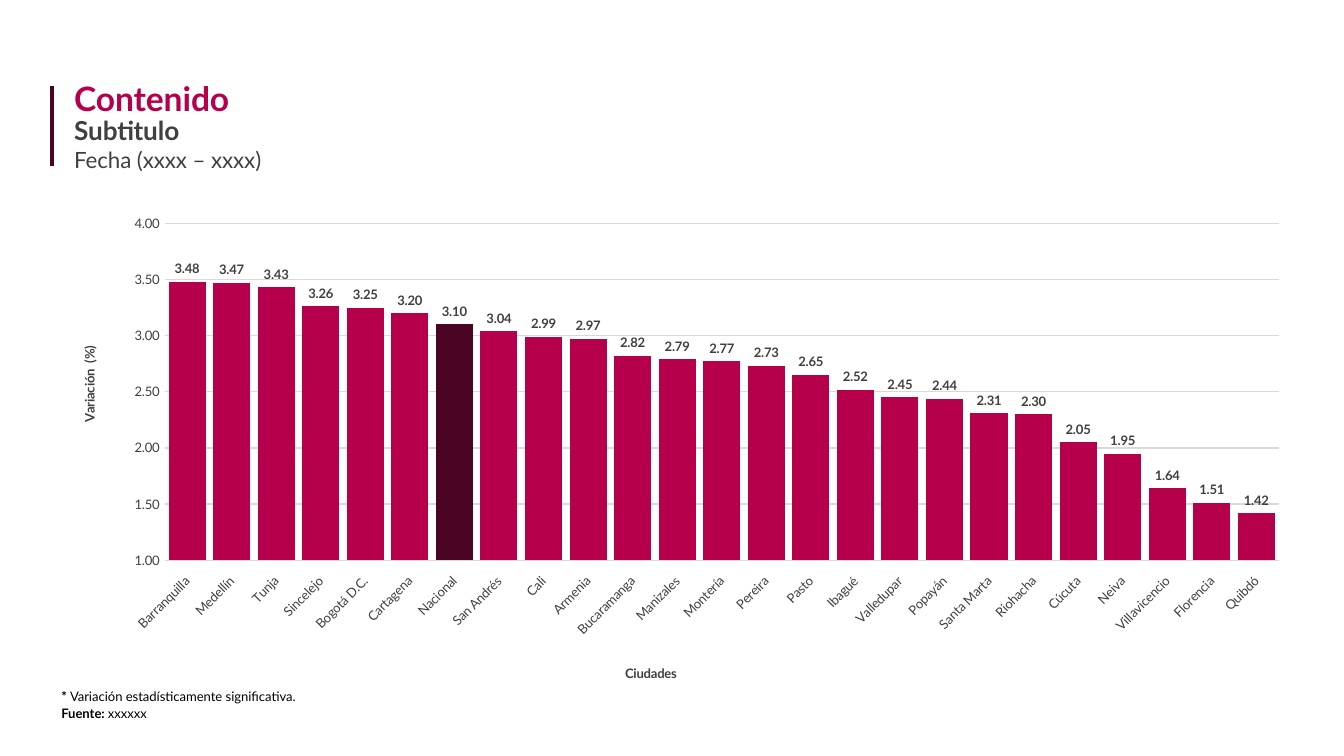
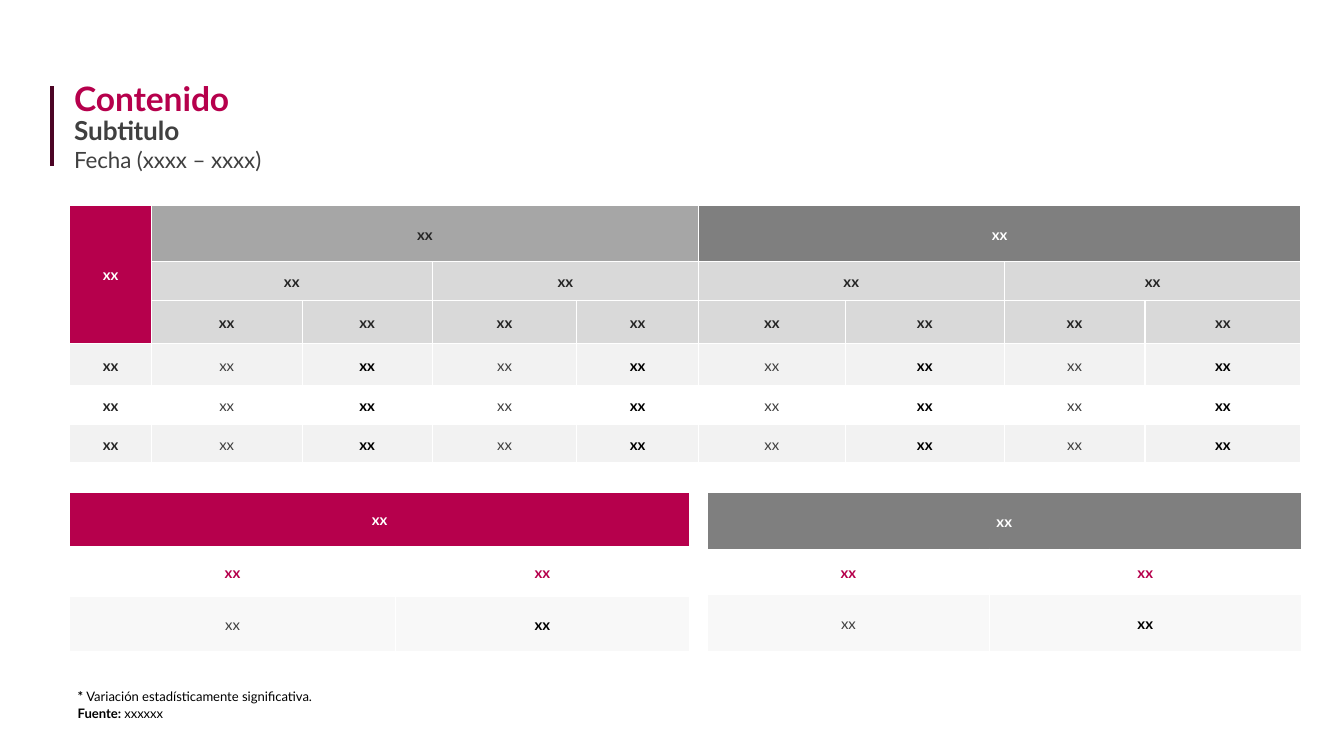
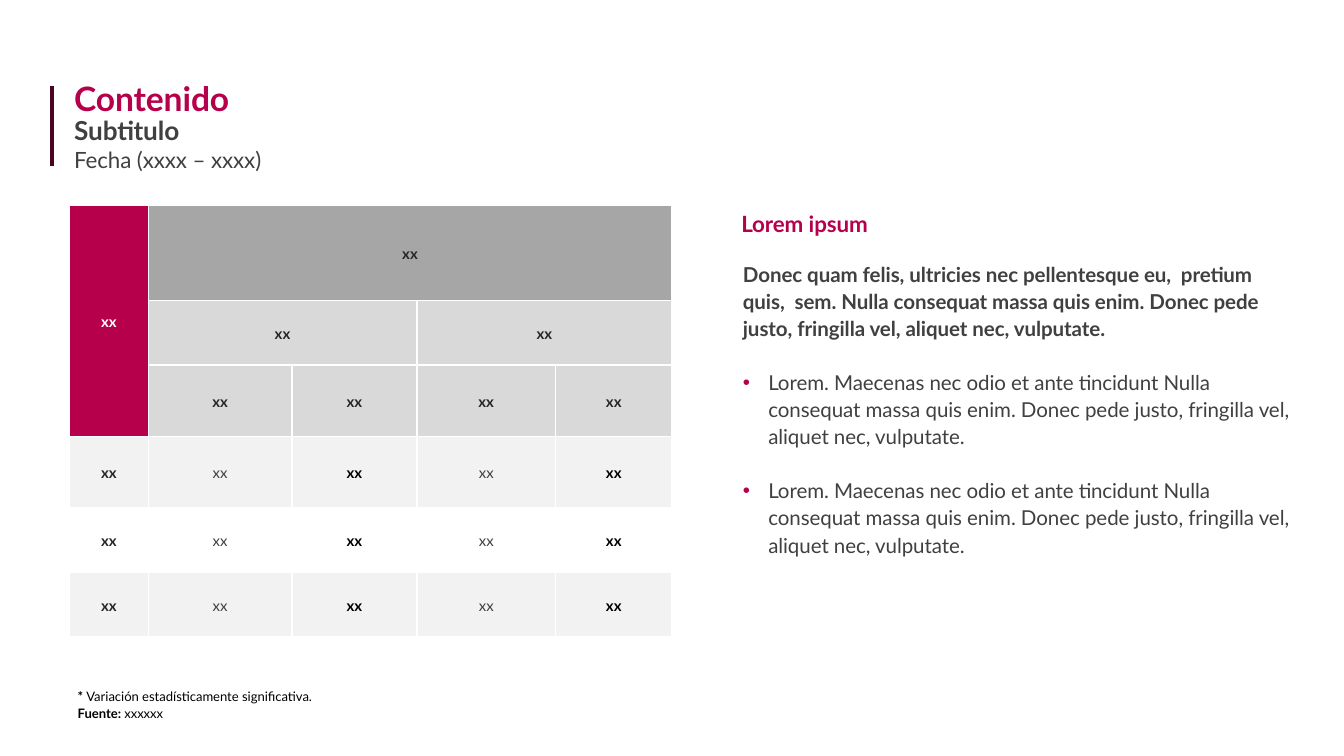
from functools import partial

from pptx import Presentation
from pptx.chart.data import CategoryChartData
from pptx.dml.color import RGBColor
from pptx.enum.chart import (XL_CHART_TYPE, XL_LABEL_POSITION, XL_TICK_LABEL_POSITION,
                             XL_TICK_MARK)
from pptx.enum.shapes import MSO_CONNECTOR
from pptx.enum.text import MSO_ANCHOR, MSO_AUTO_SIZE, PP_ALIGN
from pptx.oxml import parse_xml
from pptx.oxml.ns import nsdecls, qn
from pptx.util import Cm, Pt

# Shared look
ROSE = RGBColor(0xB6, 0x00, 0x4C)
WINE = RGBColor(0x4C, 0x04, 0x25)
BLACK = RGBColor(0x00, 0x00, 0x00)
INK = RGBColor(0x26, 0x26, 0x26)
GREY = RGBColor(0x40, 0x40, 0x40)
DARK = RGBColor(0x7F, 0x7F, 0x7F)
MID = RGBColor(0xA6, 0xA6, 0xA6)
LIGHT = RGBColor(0xD9, 0xD9, 0xD9)
PALE = RGBColor(0xF2, 0xF2, 0xF2)
FAINT = RGBColor(0xF8, 0xF8, 0xF8)
WHITE = RGBColor(0xFF, 0xFF, 0xFF)
FONT = "Lato"
SNUG = -5
LEFT, TOP = 1.32, 3.88
INSET = (0.18, 0.1, 0.18, 0.1)
TIGHT = (0.03, 0.03, 0.03, 0)
SIDES = ("margin_left", "margin_top", "margin_right", "margin_bottom")

CITIES = {
    "Barranquilla": 3.48, "Medellín": 3.47, "Tunja": 3.43, "Sincelejo": 3.26,
    "Bogotá D.C.": 3.25, "Cartagena": 3.2, "Nacional": 3.1, "San Andrés": 3.04,
    "Cali": 2.99, "Armenia": 2.97, "Bucaramanga": 2.82, "Manizales": 2.79,
    "Montería": 2.77, "Pereira": 2.73, "Pasto": 2.65, "Ibagué": 2.52,
    "Valledupar": 2.45, "Popayán": 2.44, "Santa Marta": 2.31, "Riohacha": 2.3,
    "Cúcuta": 2.05, "Neiva": 1.95, "Villavicencio": 1.64, "Florencia": 1.51,
    "Quibdó": 1.42,
}
LEAD = ("Donec quam felis, ultricies nec pellentesque eu,  pretium quis,  sem. "
        "Nulla consequat massa quis enim. Donec pede justo, fringilla vel, "
        "aliquet nec, vulputate.")
ITEM = ("Lorem. Maecenas nec odio et ante tincidunt Nulla consequat massa quis enim. "
        "Donec pede justo, fringilla vel, aliquet nec, vulputate.")


# Formatting
def assign(item, values):
    for key, value in values.items():
        setattr(item, key, value)


def style(font, size, color, bold=False, spc=None):
    assign(font, {"name": FONT, "size": Pt(size), "bold": bold})
    font.color.rgb = color
    if spc:
        font._element.set("spc", str(spc))


def margins(item, sizes):
    assign(item, {side: Cm(size) for side, size in zip(SIDES, sizes)})


def place(shape, left, top, width, height):
    assign(shape, {"left": Cm(left), "top": Cm(top),
                   "width": Cm(width), "height": Cm(height)})


def indent(para, left, first, mark=None):
    props = para._p.get_or_add_pPr()
    props.set("marL", str(Cm(left)))
    props.set("indent", str(Cm(first)))
    if mark:
        props.append(parse_xml(f'<a:buClr {nsdecls("a")}><a:srgbClr val="{ROSE}"/></a:buClr>'))
        props.append(parse_xml(f'<a:buChar {nsdecls("a")} char="{mark}"/>'))
    else:
        props.append(parse_xml(f'<a:buNone {nsdecls("a")}/>'))


def write(frame, lines):
    """Each line is a pair: paragraph values, then runs of (text, *style)."""
    for i, (values, runs) in enumerate(lines):
        para = frame.add_paragraph() if i else frame.paragraphs[0]
        assign(para, values)
        for text, *look in runs:
            run = para.add_run()
            run.text = text
            style(run.font, *look)


def fill_box(shape, lines, inset=INSET):
    frame = shape.text_frame
    assign(frame, {"word_wrap": True, "vertical_anchor": MSO_ANCHOR.TOP,
                   "auto_size": MSO_AUTO_SIZE.SHAPE_TO_FIT_TEXT})
    margins(frame, inset)
    write(frame, lines)


def text_box(slide, at, lines, inset=INSET):
    fill_box(slide.shapes.add_textbox(*map(Cm, at)), lines, inset)


# Parts found on each slide
def heading(slide):
    title = slide.shapes.title
    place(title, 1.22, 1.45, 21.59, 1.93)
    close = {"alignment": PP_ALIGN.LEFT, "line_spacing": 0.9, "space_before": Pt(0)}
    fill_box(title, [
        (close, [("Contenido", 18, ROSE, True, SNUG)]),
        (close, [("Subtitulo", 14, GREY, True, SNUG)]),
        (close | {"line_spacing": 1.0}, [("Fecha (xxxx – xxxx)", 12, GREY, False, SNUG)]),
    ])
    rule = slide.shapes.add_connector(MSO_CONNECTOR.STRAIGHT,
                                      Cm(0.98), Cm(3.13), Cm(0.98), Cm(1.63))
    rule.line.color.rgb = WINE
    rule.line.width = Pt(2.25)
    rule._element.spPr.append(parse_xml(f'<a:effectLst {nsdecls("a")}/>'))


def footnote(slide, left=1.22):
    loose = {"line_spacing": 1.07}
    text_box(slide, (left, 12.87, 23.39, 0.86), [
        (loose, [("* ", 7, BLACK, True), ("Variación estadísticamente significativa.", 7, BLACK)]),
        (loose, [("Fuente: ", 7, BLACK, True), ("xxxxxx", 7, BLACK)]),
    ], (0.25, 0.13, 0.25, 0.13))


def new_slide(deck, layout, left=1.22):
    slide = deck.slides.add_slide(deck.slide_layouts[layout])
    heading(slide)
    footnote(slide, left)
    return slide


# Tables
def borders(cell):
    props = cell._tc.get_or_add_tcPr()
    for i, side in enumerate("LRTB"):
        props.insert(i, parse_xml(
            f'<a:ln{side} {nsdecls("a")} w="{Pt(0.75)}"><a:solidFill>'
            f'<a:srgbClr val="{WHITE}"/></a:solidFill></a:ln{side}>'))


def grid_look(row, col):
    """Fill, text colour and bold of a cell under a three-row head."""
    if row < 3:
        if col == 0:
            return ROSE, WHITE, True
        if row == 0:
            return (MID, INK, True) if col < 5 else (DARK, WHITE, True)
        return LIGHT, INK, True
    fill = PALE if row % 2 else None
    if col == 0:
        return fill, INK, True
    return (fill, GREY, False) if col % 2 else (fill, BLACK, True)


def pair_look(head, row, col):
    if row == 0:
        return head, WHITE, True
    if row == 1:
        return None, ROSE, True
    return (FAINT, BLACK, True) if col else (FAINT, GREY, False)


def add_grid(slide, left, top, cols, rows, spans, look):
    table = slide.shapes.add_table(len(rows), len(cols), Cm(left), Cm(top),
                                   Cm(sum(cols)), Cm(sum(rows))).table
    assign(table, {"first_row": False, "horz_banding": False})
    for col, width in zip(table.columns, cols):
        col.width = Cm(width)
    for row, height in zip(table.rows, rows):
        row.height = Cm(height)
    for row, col, end_row, end_col in spans:
        table.cell(row, col).merge(table.cell(end_row, end_col))
    for r in range(len(rows)):
        for c in range(len(cols)):
            cell = table.cell(r, c)
            fill, color, bold = look(r, c)
            if fill is None:
                cell.fill.background()
            else:
                cell.fill.solid()
                cell.fill.fore_color.rgb = fill
            borders(cell)
            margins(cell, TIGHT)
            cell.vertical_anchor = MSO_ANCHOR.MIDDLE
            if not cell.is_spanned:
                write(cell.text_frame,
                      [({"alignment": PP_ALIGN.CENTER}, [("xx", 8, color, bold)])])


def main_grid(slide, cols, rows):
    last = len(cols) - 1
    spans = [(0, 0, 2, 0)]
    spans += [(0, c, 0, c + 3) for c in range(1, last, 4)]
    spans += [(1, c, 1, c + 1) for c in range(1, last, 2)]
    add_grid(slide, LEFT, TOP, cols, rows, spans, grid_look)


# Chart
def set_layout(parent, index, **spots):
    for old in parent.findall(qn("c:layout")):
        parent.remove(old)
    inner = '<c:layoutTarget val="inner"/>' if "w" in spots else ""
    modes = "".join(f'<c:{k}Mode val="edge"/>' for k in "xy")
    sizes = "".join(f'<c:{k} val="{v}"/>' for k, v in spots.items())
    parent.insert(index, parse_xml(
        f'<c:layout {nsdecls("c")}><c:manualLayout>{inner}{modes}{sizes}'
        f'</c:manualLayout></c:layout>'))


def dress_axis(axis, text, x, y):
    assign(axis, {"major_tick_mark": XL_TICK_MARK.NONE, "minor_tick_mark": XL_TICK_MARK.NONE})
    style(axis.tick_labels.font, 7, GREY)
    write(axis.axis_title.text_frame, [({}, [(text, 7, GREY, True)])])
    set_layout(axis.axis_title._element, 1, x=x, y=y)


def thin(line):
    line.color.rgb = LIGHT
    line.width = Pt(0.75)


def city_chart(slide):
    data = CategoryChartData(number_format="0.00")
    data.categories = list(CITIES)
    data.add_series("Series 1", list(CITIES.values()))
    chart = slide.shapes.add_chart(XL_CHART_TYPE.COLUMN_CLUSTERED, Cm(1.01), Cm(3.95),
                                   Cm(23.39), Cm(9.1), data).chart
    assign(chart, {"has_legend": False, "has_title": False})
    style(chart.font, 7, GREY)
    set_layout(chart._chartSpace.chart.plotArea, 0, x=0.09, y=0.03, w=0.9, h=0.7)

    # Axes
    names, scale = chart.category_axis, chart.value_axis
    dress_axis(names, "Ciudades", 0.46, 0.94)
    dress_axis(scale, "Variación  (%)", 0.02, 0.28)
    names.tick_label_position = XL_TICK_LABEL_POSITION.LOW
    names._element.get_or_add_txPr().bodyPr.set("rot", "-2700000")
    thin(names.format.line)
    assign(scale, {"minimum_scale": 1, "maximum_scale": 4, "major_unit": 0.5,
                   "has_major_gridlines": True})
    assign(scale.tick_labels, {"number_format": "0.00", "number_format_is_linked": False})
    thin(scale.major_gridlines.format.line)
    scale.format.line.fill.background()

    # Columns and labels
    plot = chart.plots[0]
    assign(plot, {"gap_width": 20, "vary_by_categories": False, "has_data_labels": True})
    assign(plot.data_labels, {"show_value": True, "position": XL_LABEL_POSITION.OUTSIDE_END,
                              "number_format": "0.00", "number_format_is_linked": False})
    style(plot.data_labels.font, 7, GREY, True)
    series = plot.series[0]
    nation = series.points[list(CITIES).index("Nacional")]
    for part, color in ((series, ROSE), (nation, WINE)):
        part.format.fill.solid()
        part.format.fill.fore_color.rgb = color


# Text column
def text_column(slide):
    text_box(slide, (13.83, 3.93, 3.68, 0.66),
             [({"line_spacing": 0.9}, [("Lorem ipsum", 12, ROSE, True, SNUG)])])
    body = slide.placeholders[1]
    place(body, 13.83, 4.8, 10.77, 5.84)
    first = {"line_spacing": 1.1, "space_before": Pt(0)}
    later = first | {"space_before": Pt(14.5)}
    fill_box(body, [
        (first, [(LEAD, 11, GREY, True, SNUG)]),
        (later, [(ITEM, 11, GREY, False, SNUG)]),
        (later, [(ITEM, 11, GREY, False, SNUG)]),
    ])
    lead, *items = body.text_frame.paragraphs
    indent(lead, 0.03, 0)
    for item in items:
        indent(item, 0.51, -0.48, "•")


def main():
    deck = Presentation()
    assign(deck, {"slide_width": Cm(25.4), "slide_height": Cm(14.29)})

    # Slide 1: chart
    city_chart(new_slide(deck, 5, left=0.91))

    # Slide 2: three tables
    slide = new_slide(deck, 5)
    main_grid(slide, (1.54, 2.85, 2.46, 2.73, 2.3, 2.78, 3, 2.66, 2.95),
              (1.07, 0.73, 0.81, 0.8, 0.73, 0.73))
    for left, cols, rows, head in (
            (LEFT, (6.15, 5.56), (1.03, 0.95, 1.03), ROSE),
            (13.37, (5.33, 5.89), (1.08, 0.86, 1.08), DARK)):
        add_grid(slide, left, 9.3, cols, rows, [(0, 0, 0, 1)], partial(pair_look, head))

    # Slide 3: table and text
    slide = new_slide(deck, 1)
    main_grid(slide, (1.48, 2.72, 2.36, 2.62, 2.2), (1.8, 1.22, 1.35, 1.35, 1.22, 1.22))
    text_column(slide)

    deck.save("out.pptx")


if __name__ == "__main__":
    main()
